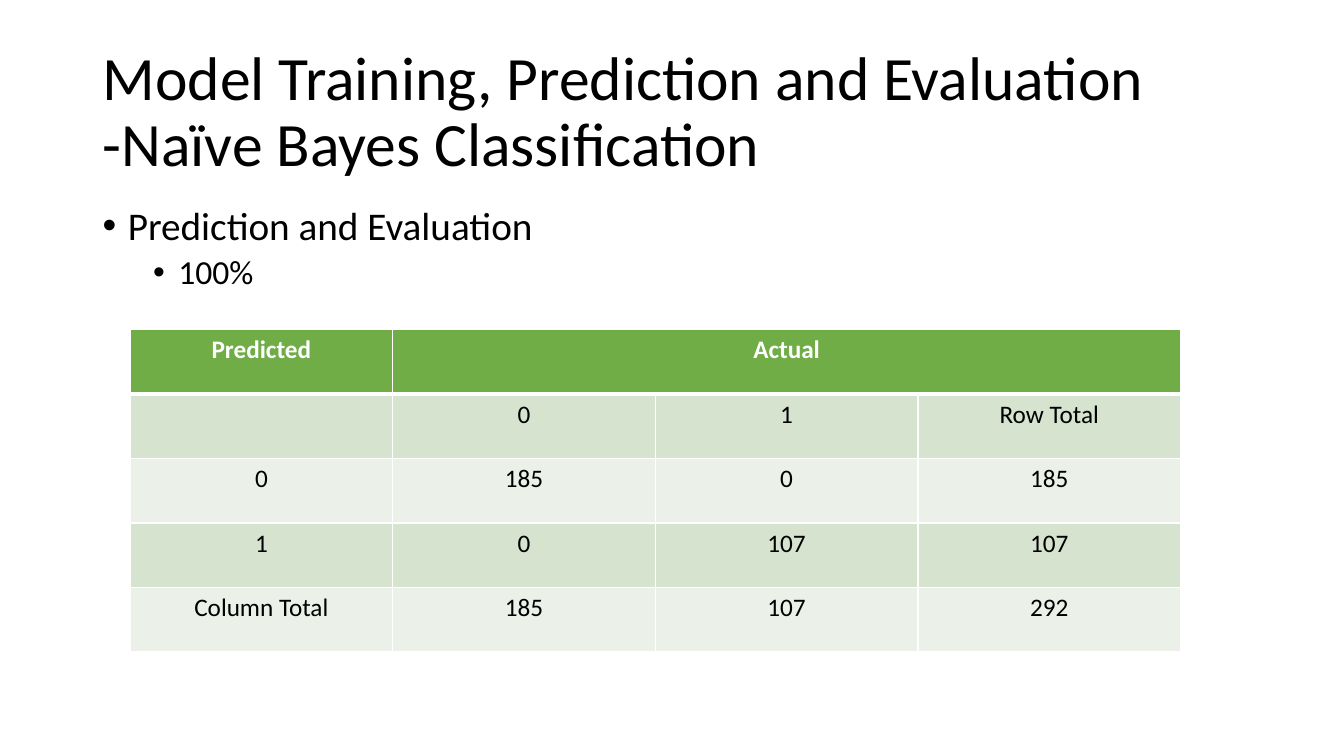
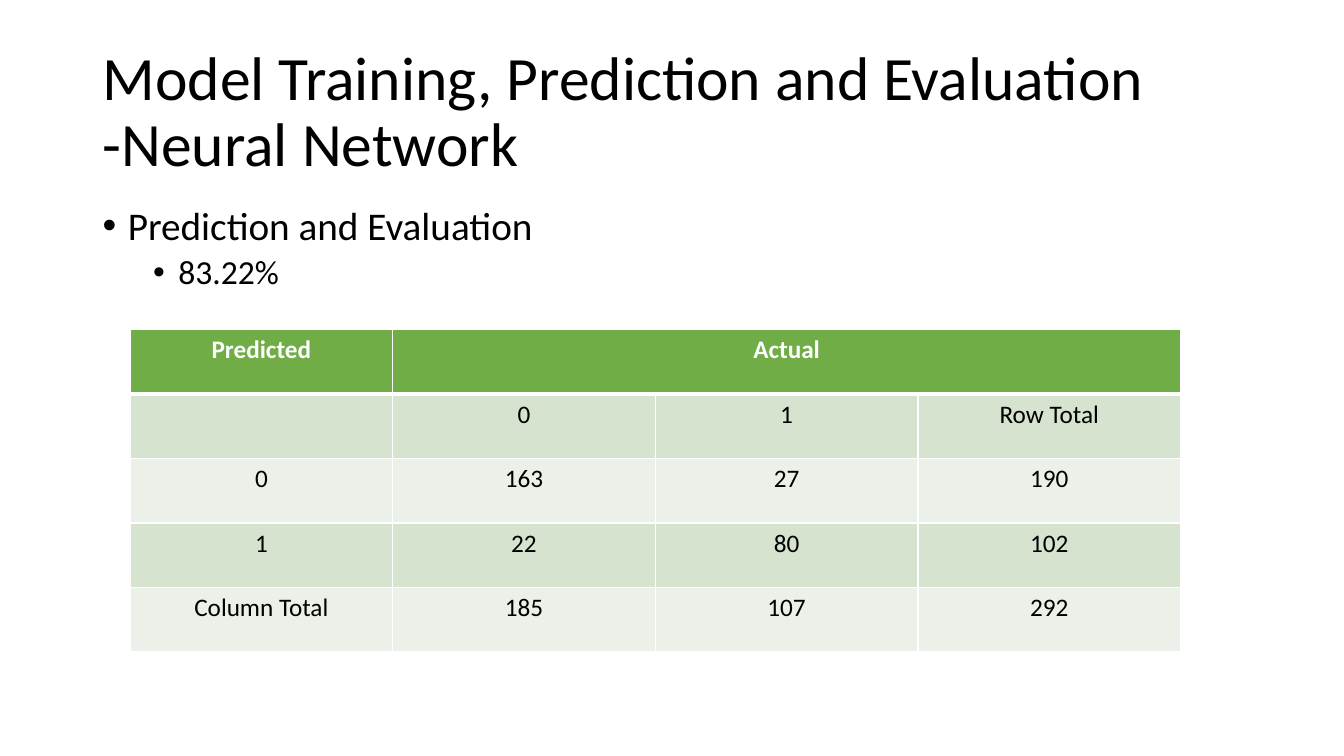
from lxml.etree import SubElement
from pptx import Presentation
from pptx.dml.color import RGBColor
from pptx.enum.text import MSO_ANCHOR, PP_ALIGN
from pptx.oxml.ns import qn
from pptx.util import Inches, Pt

COLORS = {
    "text": "000000",
    "paper": "FFFFFF",
    "header": "70AD47",
    "band_dark": "D5E3CF",
    "band_light": "EBF1E9",
}


class Deck:
    """Slides in one style, with lengths in hundredths of the slide's size."""

    font_name = "Calibri"
    left, width = 6.9, 86.25
    line_spacing = 0.9
    level_styles = ((28, 0.25, 10), (24, 0.75, 5))
    hanging = 0.25

    def __init__(self):
        self.presentation = Presentation()
        self.presentation.slide_width = Inches(13.33)
        self.presentation.slide_height = Inches(7.5)
        self.slide = None

    def new_slide(self):
        blank = self.presentation.slide_layouts[6]
        self.slide = self.presentation.slides.add_slide(blank)

    def place(self, left, top, width, height):
        across = self.presentation.slide_width / 100
        down = self.presentation.slide_height / 100
        return (round(left * across), round(top * down),
                round(width * across), round(height * down))

    def format_runs(self, paragraph, size, color="text", bold=False):
        for run in paragraph.runs:
            run.font.name = self.font_name
            run.font.size = Pt(size)
            run.font.bold = bold
            run.font.color.rgb = RGBColor.from_string(COLORS[color])

    def text_frame(self, top, height):
        area = self.place(self.left, top, self.width, height)
        frame = self.slide.shapes.add_textbox(*area).text_frame
        frame.word_wrap = True
        return frame

    def title(self, text):
        frame = self.text_frame(5.33, 19.33)
        frame.vertical_anchor = MSO_ANCHOR.MIDDLE
        frame.text = text
        heading = frame.paragraphs[0]
        heading.line_spacing = self.line_spacing
        self.format_runs(heading, 44)

    def bullets(self, items, height):
        frame = self.text_frame(26.67, height)
        frame.text = "\n".join(text for level, text in items)
        for index, (level, text) in enumerate(items):
            item = frame.paragraphs[index]
            size, indent, space = self.level_styles[level]
            item.level = level
            item.line_spacing = self.line_spacing
            item.space_before = Pt(space if index else 0)
            properties = item._p.get_or_add_pPr()
            properties.set("marL", str(Inches(indent)))
            properties.set("indent", str(-Inches(self.hanging)))
            SubElement(properties, qn("a:buFont")).set("typeface", "Arial")
            SubElement(properties, qn("a:buChar")).set("char", "•")
            self.format_runs(item, size)

    def borders(self, cell, **points):
        properties = cell._tc.get_or_add_tcPr()
        for side in "LRTB":
            line = SubElement(properties, qn(f"a:ln{side}"))
            line.set("w", str(Pt(points.get(side, 1))))
            fill = SubElement(line, qn("a:solidFill"))
            SubElement(fill, qn("a:srgbClr")).set("val", COLORS["paper"])

    def confusion_table(self, counts):
        (hits_0, misses_0), (misses_1, hits_1) = counts
        rows = [
            ["Predicted", "Actual", "", ""],
            ["", "0", "1", "Row Total"],
            ["0", hits_0, misses_0, hits_0 + misses_0],
            ["1", misses_1, hits_1, misses_1 + hits_1],
            ["Column Total", hits_0 + misses_1, misses_0 + hits_1,
             sum(map(sum, counts))],
        ]
        area = self.place(9.68, 43.6, 78.17, 42.67)
        table = self.slide.shapes.add_table(len(rows), len(rows[0]), *area).table
        for row, values in enumerate(rows):
            for column, value in enumerate(values):
                self.table_cell(table.cell(row, column), row, str(value))
        table.cell(0, 1).merge(table.cell(0, 3))

    def table_cell(self, cell, row, text):
        is_header = row == 0
        band = "band_dark" if row % 2 else "band_light"
        self.borders(cell, T=3 if row == 1 else 1, B=3 if is_header else 1)
        cell.fill.solid()
        fill = COLORS["header" if is_header else band]
        cell.fill.fore_color.rgb = RGBColor.from_string(fill)
        cell.text_frame.text = text
        label = cell.text_frame.paragraphs[0]
        label.alignment = PP_ALIGN.CENTER
        self.format_runs(label, 18, "paper" if is_header else "text", is_header)

    def save(self):
        self.presentation.save("out.pptx")


def main():
    deck = Deck()
    models = (
        ("Naïve Bayes Classification", "100%", ((185, 0), (0, 107)), 71.33),
        ("Neural Network", "83.22%", ((163, 27), (22, 80)), 63.47),
    )
    for model, accuracy, counts, body_height in models:
        deck.new_slide()
        deck.title(f"Model Training, Prediction and Evaluation\v-{model}")
        deck.bullets([(0, "Prediction and Evaluation"), (1, accuracy)], body_height)
        deck.confusion_table(counts)
    deck.save()


if __name__ == "__main__":
    main()
